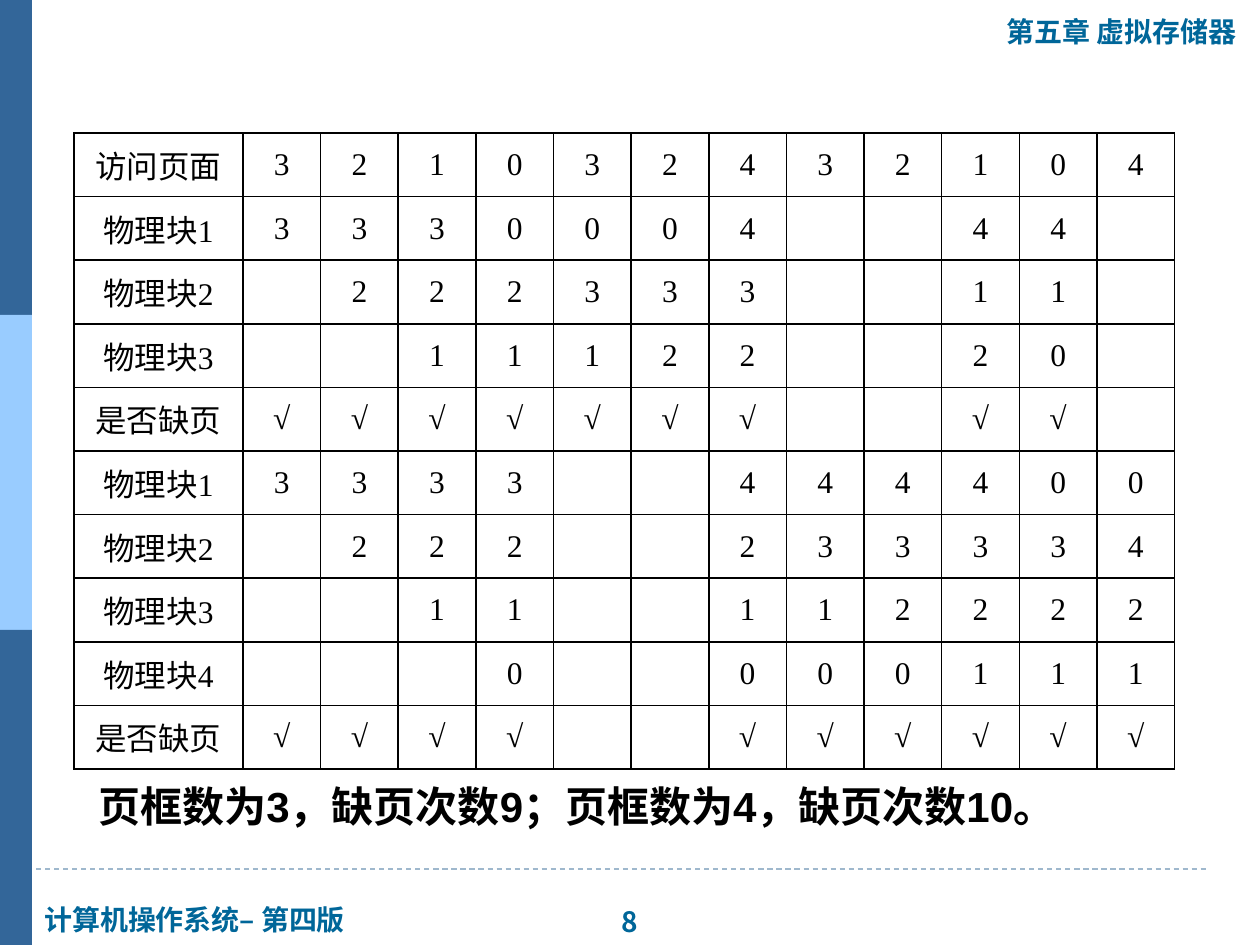
from dataclasses import dataclass

from lxml import etree
from pptx import Presentation
from pptx.dml.color import RGBColor
from pptx.enum import dml, shapes, text
from pptx.oxml import ns
from pptx.util import Emu, Pt

EMU_PER_INCH = 914400
PX_PER_INCH = 126
TEAL = "006699"
BLACK = "000000"


@dataclass(frozen=True)
class Bar:
    top: int
    color: str


@dataclass(frozen=True)
class Label:
    words: str
    left: int
    top: int
    width: int
    height: int
    size: int = 16
    font: str = "Arial"
    color: str = TEAL
    align: text.PP_ALIGN = text.PP_ALIGN.LEFT
    wrap: bool = False


@dataclass(frozen=True)
class TraceRow:
    heading: str
    values: str


BARS = [Bar(0, "336699"), Bar(315, "99CCFF"), Bar(630, "336699")]

LABELS = [
    Label("计算机操作系统– 第四版", 32, 896, 334, 47),
    Label("8", 596, 898, 68, 47, font="Noto Sans CJK JP", align=text.PP_ALIGN.CENTER),
    Label("第五章 虚拟存储器", 994, 8, 261, 47),
]

CAPTION = Label("页框数为3，缺页次数9；页框数为4，缺页次数10。", 86, 774, 1130, 63,
                size=24, color=BLACK, wrap=True)

TRACE = [
    TraceRow("访问页面", "321032432104"),
    TraceRow("物理块1", "3330004..44."),
    TraceRow("物理块2", ".222333..11."),
    TraceRow("物理块3", "..11122..20."),
    TraceRow("是否缺页", "√√√√√√√..√√."),
    TraceRow("物理块1", "3333..444400"),
    TraceRow("物理块2", ".222..233334"),
    TraceRow("物理块3", "..11..112222"),
    TraceRow("物理块4", "...0..000111"),
    TraceRow("是否缺页", "√√√√..√√√√√√"),
]


def px(length: int) -> Emu:
    return Emu(round(length * EMU_PER_INCH / PX_PER_INCH))


def rgb(color: str) -> RGBColor:
    return RGBColor.from_string(color)


def write(paragraph, words: str, size: int, font: str, color: str,
          bold: bool, align: text.PP_ALIGN) -> None:
    paragraph.alignment = align
    span = paragraph.add_run()
    span.text = words
    for name, value in {"size": Pt(size), "name": font, "bold": bold}.items():
        setattr(span.font, name, value)
    span.font.color.rgb = rgb(color)


def draw_bar(page, bar: Bar) -> None:
    shape = page.shapes.add_shape(shapes.MSO_SHAPE.RECTANGLE,
                                  0, px(bar.top), px(32), px(315))
    shape.shadow.inherit = False
    shape.fill.solid()
    shape.fill.fore_color.rgb = rgb(bar.color)
    shape.line.fill.background()


def draw_rule(page) -> None:
    rule = page.shapes.add_connector(shapes.MSO_CONNECTOR.STRAIGHT,
                                     0, px(869), px(1208), px(869))
    rule.line.color.rgb = rgb("9FB8CD")
    rule.line.width = Pt(0.75)
    rule.line.dash_style = dml.MSO_LINE.DASH
    etree.SubElement(rule._element.spPr, ns.qn("a:effectLst"))


def draw_label(page, label: Label) -> None:
    box = page.shapes.add_textbox(px(label.left), px(label.top),
                                  px(label.width), px(label.height))
    frame = box.text_frame
    frame.word_wrap = label.wrap
    frame.auto_size = text.MSO_AUTO_SIZE.SHAPE_TO_FIT_TEXT
    write(frame.paragraphs[0], label.words, label.size, label.font,
          label.color, True, label.align)


def add_borders(cell) -> None:
    properties = cell._tc.get_or_add_tcPr()
    for position, side in enumerate(("lnL", "lnR", "lnT", "lnB")):
        border = etree.Element(ns.qn(f"a:{side}"), w=str(Pt(1)))
        fill = etree.SubElement(border, ns.qn("a:solidFill"))
        etree.SubElement(fill, ns.qn("a:srgbClr"), val=BLACK)
        properties.insert(position, border)


def draw_trace(page, rows: list[TraceRow]) -> None:
    column_count = len(rows[0].values)
    width, height, heading_width = px(1101), px(636), px(169)
    table = page.shapes.add_table(len(rows), column_count + 1, px(74), px(133),
                                  width, height).table
    table.first_row = False
    table.horz_banding = False
    for index, column in enumerate(table.columns):
        column.width = (width - heading_width) // column_count if index else heading_width
    for line, row in zip(table.rows, rows):
        line.height = height // len(rows)
        for cell, words in zip(line.cells, [row.heading, *row.values]):
            cell.fill.background()
            cell.vertical_anchor = text.MSO_ANCHOR.MIDDLE
            add_borders(cell)
            if words != ".":
                write(cell.text_frame.paragraphs[0], words, 18, "Times New Roman",
                      BLACK, False, text.PP_ALIGN.CENTER)


def main() -> None:
    deck = Presentation()
    deck.slide_width, deck.slide_height = px(1260), px(945)
    page = deck.slides.add_slide(deck.slide_layouts[6])
    draw_rule(page)
    for bar in BARS:
        draw_bar(page, bar)
    for label in LABELS:
        draw_label(page, label)
    draw_trace(page, TRACE)
    draw_label(page, CAPTION)
    deck.save("out.pptx")


if __name__ == "__main__":
    main()
